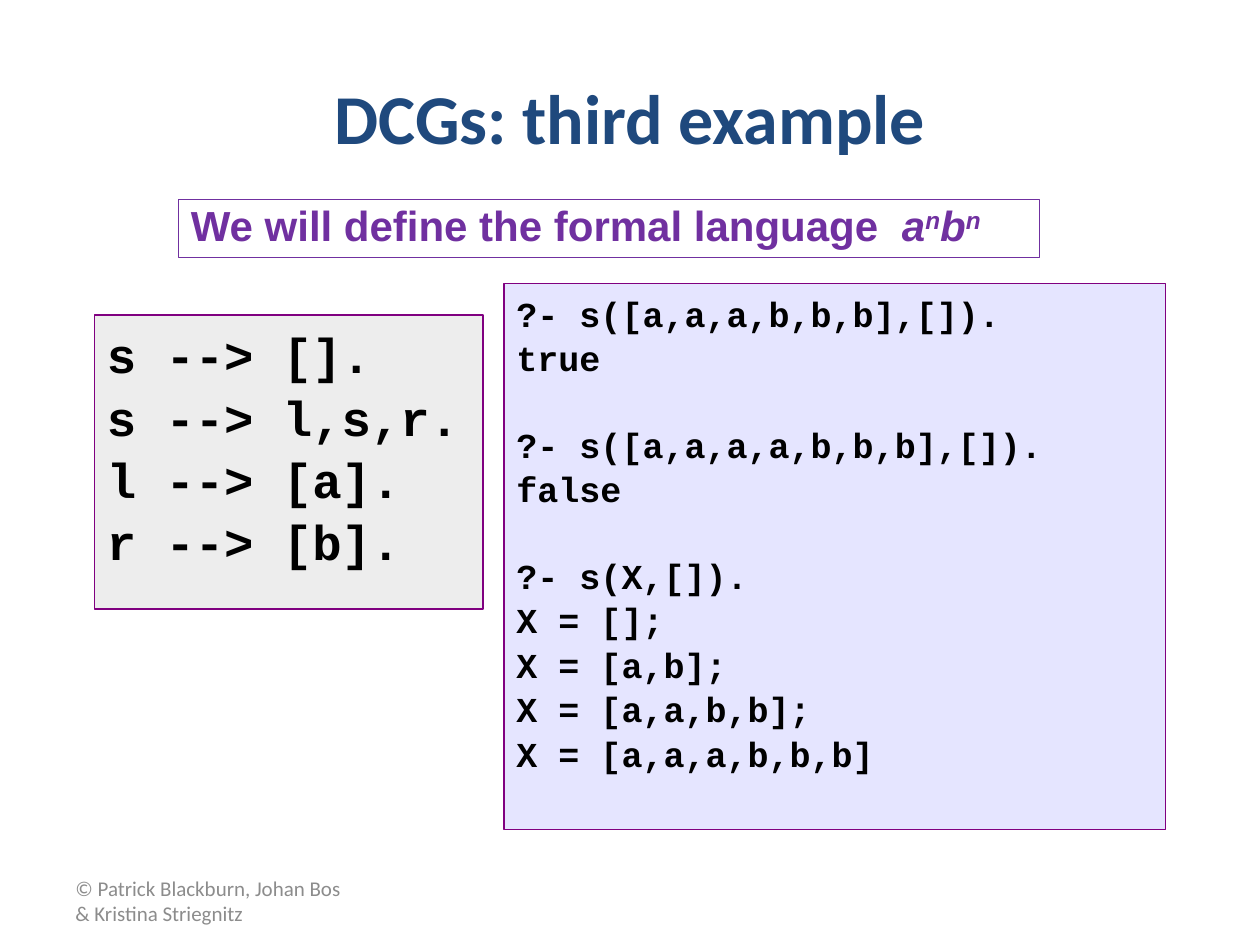
from dataclasses import dataclass
from typing import Optional

from lxml.etree import SubElement
from pptx import Presentation
from pptx.dml.color import RGBColor
from pptx.enum.shapes import MSO_SHAPE as Shape
from pptx.enum.text import MSO_ANCHOR as Anchor, MSO_AUTO_SIZE as AutoSize, PP_ALIGN as Align
from pptx.oxml.ns import qn
from pptx.util import Inches, Pt

NAVY = RGBColor(0x1F, 0x49, 0x7D)
GREY = RGBColor(0x8C, 0x8C, 0x8C)
BLACK = RGBColor(0x00, 0x00, 0x00)
PLUM = RGBColor(0x80, 0x00, 0x80)
VIOLET = RGBColor(0x70, 0x30, 0xA0)
SILVER = RGBColor(0xDD, 0xDD, 0xDD)
LAVENDER = RGBColor(0xCC, 0xCC, 0xFF)

COLS, ROWS = 120, 90
HANG = Inches(0.38)


@dataclass
class Cell:
    col: float
    row: float
    cols: float
    rows: float


@dataclass
class Style:
    name: str
    size: float
    color: RGBColor
    bold: bool = False


@dataclass
class Span:
    text: str
    italic: bool = False
    raised: bool = False
    tracking: float = 0


@dataclass
class Panel:
    cell: Cell
    fill: RGBColor
    size: float
    blocks: list[list[str]]


RULES = Panel(Cell(9, 30, 37, 28), SILVER, 28, [
    ["s --> [].", "s --> l,s,r.", "l --> [a].", "r --> [b]."],
])
QUERIES = Panel(Cell(48, 27, 63, 52), LAVENDER, 20, [
    ["?- s([a,a,a,b,b,b],[]).", "true"],
    ["?- s([a,a,a,a,b,b,b],[]).", "false"],
    ["?- s(X,[]).", "X = [];", "X = [a,b];", "X = [a,a,b,b];", "X = [a,a,a,b,b,b]"],
])
LANGUAGE = [
    Span("We will define the formal language"),
    Span(" ", tracking=6.67),
    Span("a", italic=True),
    Span("n", italic=True, raised=True),
    Span("b", italic=True),
    Span("n", italic=True, raised=True),
]


def place(prs, cell: Cell) -> tuple[int, int, int, int]:
    w, h = prs.slide_width / COLS, prs.slide_height / ROWS
    return int(cell.col * w), int(cell.row * h), int(cell.cols * w), int(cell.rows * h)


def add_run(p, span: Span, style: Style) -> None:
    r = p.add_run()
    r.text = span.text
    formats = {"name": style.name, "size": Pt(style.size), "bold": style.bold,
               "italic": span.italic}
    for key, value in formats.items():
        setattr(r.font, key, value)
    r.font.color.rgb = style.color
    rPr = r._r.get_or_add_rPr()
    if span.raised:
        rPr.set("baseline", "30000")
    if span.tracking:
        rPr.set("spc", str(round(span.tracking * 100)))


def add_label(prs, s, cell: Cell, text: str, style: Style, align: Align) -> None:
    tf = s.shapes.add_textbox(*place(prs, cell)).text_frame
    tf.word_wrap = True
    tf.vertical_anchor = Anchor.MIDDLE
    p = tf.paragraphs[0]
    p.alignment = align
    add_run(p, Span(text), style)


def add_box(prs, s, cell: Cell, line: RGBColor, fill: Optional[RGBColor] = None):
    sp = s.shapes.add_shape(Shape.RECTANGLE, *place(prs, cell))
    sp.shadow.inherit = False
    sp.line.color.rgb = line
    sp.line.width = Pt(0.75)
    if fill is None:
        sp.fill.background()
    else:
        sp.fill.solid()
        sp.fill.fore_color.rgb = fill
        color = sp._element.spPr.find(qn("a:solidFill"))[0]
        SubElement(color, qn("a:alpha"), val="50000")
    tf = sp.text_frame
    tf.word_wrap = True
    tf.vertical_anchor = Anchor.TOP
    tf.paragraphs[0].alignment = Align.LEFT
    return tf


def add_panel(prs, s, panel: Panel) -> None:
    tf = add_box(prs, s, panel.cell, PLUM, panel.fill)
    style = Style("Courier New", panel.size, BLACK, True)
    p = tf.paragraphs[0]
    for b, block in enumerate(panel.blocks):
        for i, text in enumerate(block):
            if b or i:
                p = tf.add_paragraph()
            p.alignment = Align.LEFT
            p.line_spacing = 1.06
            if b and not i:
                p.space_before = Pt(panel.size * 1.2)
            pPr = p._p.get_or_add_pPr()
            pPr.set("marL", str(HANG))
            pPr.set("indent", str(-HANG))
            add_run(p, Span(text), style)


def add_banner(prs, s, cell: Cell, spans: list[Span]) -> None:
    tf = add_box(prs, s, cell, VIOLET)
    tf.auto_size = AutoSize.SHAPE_TO_FIT_TEXT
    p = tf.paragraphs[0]
    p.line_spacing = 0.9
    for span in spans:
        add_run(p, span, Style("Arial", 24, VIOLET, True))


def main() -> None:
    prs = Presentation()
    prs.slide_width, prs.slide_height = Inches(10), Inches(7.5)
    s = prs.slides.add_slide(prs.slide_layouts[6])
    add_label(prs, s, Cell(6, 83.4, 28, 4.8),
              "© Patrick Blackburn, Johan Bos & Kristina Striegnitz",
              Style("Calibri", 12, GREY), Align.LEFT)
    add_label(prs, s, Cell(6, 3.6, 108, 15), "DCGs: third example",
              Style("Calibri", 40, NAVY, True), Align.CENTER)
    for panel in (RULES, QUERIES):
        add_panel(prs, s, panel)
    add_banner(prs, s, Cell(17, 19, 82, 5.5), LANGUAGE)
    prs.save("out.pptx")


if __name__ == "__main__":
    main()
